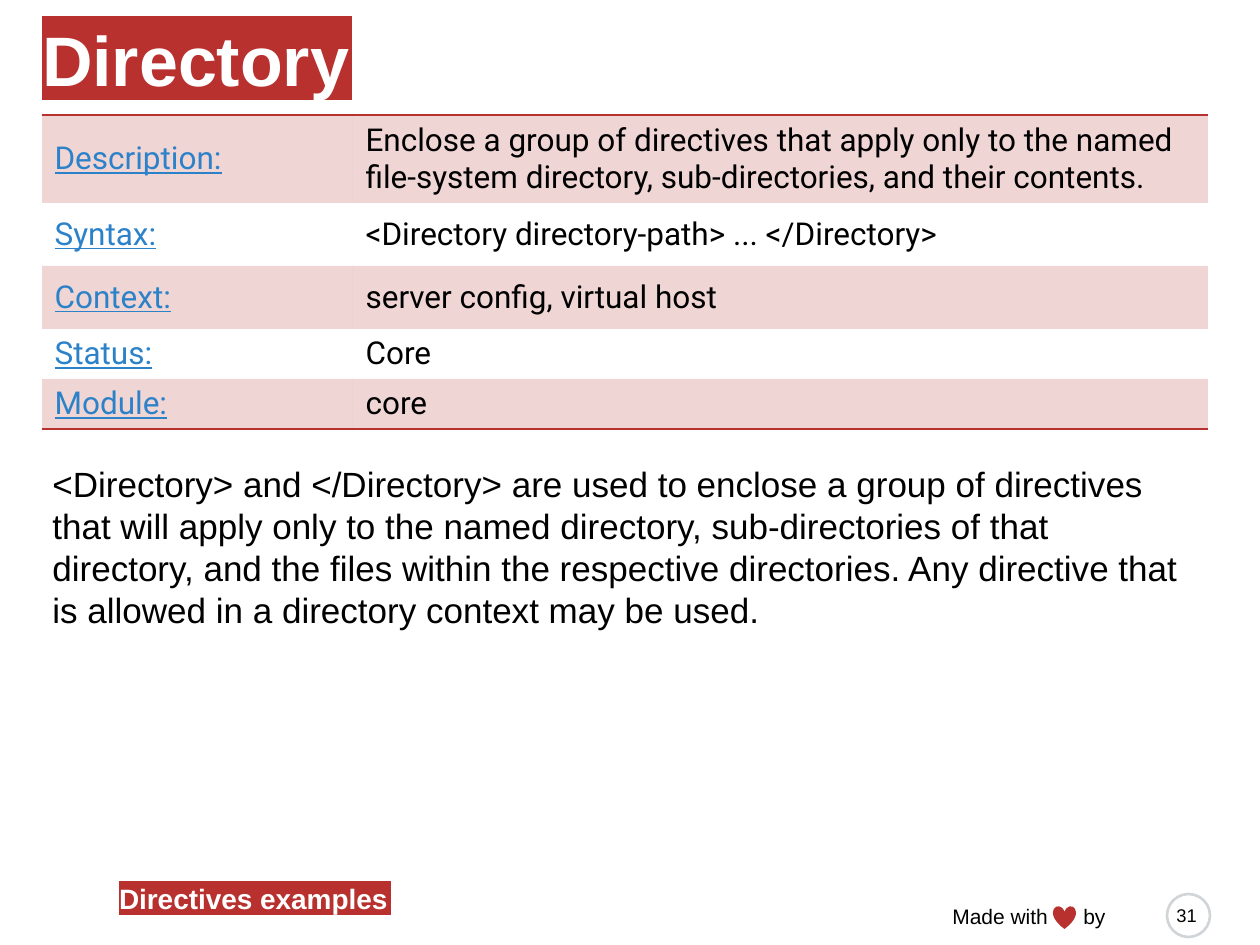
import pptx
import pptx.dml.color
import pptx.enum.shapes
import pptx.enum.text
import pptx.oxml
import pptx.oxml.ns
import pptx.util

SCALE = 914400 / 126
COLORS = {"red": "B8312F", "blue": "2C82C9", "black": "000000", "white": "FFFFFF", "grey": "D1D5D8"}
NO_GRID_STYLE = "{2D5ABB26-0587-4C30-8999-92F81FD0307C}"
SHAPES = pptx.enum.shapes.MSO_SHAPE
ANCHOR = pptx.enum.text.MSO_ANCHOR
AUTO_SIZE = pptx.enum.text.MSO_AUTO_SIZE

DIRECTIVE = [
    ("Description:", "Enclose a group of directives that apply only to the named "
     "file-system directory, sub-directories, and their contents."),
    ("Syntax:", "<Directory directory-path> ... </Directory>"),
    ("Context:", "server config, virtual host"),
    ("Status:", "Core"),
    ("Module:", "core"),
]
ROW_HEIGHTS = [88, 63, 63, 50, 50]
COLUMN_WIDTHS = [311, 855]
EXPLANATION = (
    "<Directory> and </Directory> are used to enclose a group of directives that will apply "
    "only to the named directory, sub-directories of that directory, and the files within the "
    "respective directories. Any directive that is allowed in a directory context may be used."
)


def px(length):
    return pptx.util.Emu(round(length * SCALE))


def rgb(color):
    return pptx.dml.color.RGBColor.from_string(COLORS[color])


def drawing_element(tag, **attributes):
    element = pptx.oxml.parse_xml(f"<a:{tag} {pptx.oxml.ns.nsdecls('a')}/>")
    for key, value in attributes.items():
        element.set(key, str(value))
    return element


def write(frame, text, size=18, font="Arial", color="black", bold=False, underline=False, tab=None):
    paragraph = frame.paragraphs[0]
    paragraph.alignment = pptx.enum.text.PP_ALIGN.LEFT
    if tab:
        tabs = drawing_element("tabLst")
        tabs.append(drawing_element("tab", pos=px(tab), algn="l"))
        paragraph._p.get_or_add_pPr().append(tabs)
    run = paragraph.add_run()
    run.text = text
    run.font.size = pptx.util.Pt(size)
    run.font.name = font
    run.font.bold = bold
    run.font.underline = underline
    run.font.color.rgb = rgb(color)


def add_text(slide, box, text, grow=True, **style):
    frame = slide.shapes.add_textbox(*map(px, box)).text_frame
    frame.word_wrap = True
    frame.auto_size = AUTO_SIZE.SHAPE_TO_FIT_TEXT if grow else AUTO_SIZE.NONE
    write(frame, text, **style)


def add_figure(slide, preset, box, fill, line=None):
    figure = slide.shapes.add_shape(preset, *map(px, box))
    figure.shadow.inherit = False
    figure.fill.solid()
    figure.fill.fore_color.rgb = rgb(fill)
    if line:
        figure.line.color.rgb = rgb(line)
        figure.line.width = pptx.util.Pt(1.5)
    else:
        figure.line.fill.background()
    return figure


def format_label(label, text, size):
    label.fill.solid()
    label.fill.fore_color.rgb = rgb("red")
    frame = label.text_frame
    frame.margin_left = frame.margin_top = frame.margin_right = frame.margin_bottom = 0
    frame.vertical_anchor = ANCHOR.MIDDLE
    frame.word_wrap = False
    frame.auto_size = AUTO_SIZE.NONE
    write(frame, text, size=size, color="white", bold=True)


def add_title(slide, box, text):
    title = slide.shapes.title
    title.left, title.top, title.width, title.height = map(px, box)
    format_label(title, text, 40)


def tint_cell(cell):
    cell.fill.solid()
    cell.fill.fore_color.rgb = rgb("red")
    tint = cell._tc.tcPr.find(".//" + pptx.oxml.ns.qn("a:srgbClr"))
    tint.append(drawing_element("alpha", val=20000))


def add_border(cell, side):
    border = drawing_element(f"ln{side}", w=pptx.util.Pt(1))
    fill = drawing_element("solidFill")
    fill.append(drawing_element("srgbClr", val=COLORS["red"]))
    border.append(fill)
    cell._tc.get_or_add_tcPr().insert(0, border)


def add_directive_table(slide, left, top):
    box = (left, top, sum(COLUMN_WIDTHS), sum(ROW_HEIGHTS))
    table = slide.shapes.add_table(len(DIRECTIVE), 2, *map(px, box)).table
    table.first_row = table.horz_banding = False
    table._tbl.tblPr.find(pptx.oxml.ns.qn("a:tableStyleId")).text = NO_GRID_STYLE
    for column, width in zip(table.columns, COLUMN_WIDTHS):
        column.width = px(width)
    for index, (row, height, entry) in enumerate(zip(table.rows, ROW_HEIGHTS, DIRECTIVE)):
        row.height = px(height)
        for cell, text, color in zip(row.cells, entry, ("blue", "black")):
            cell.vertical_anchor = ANCHOR.MIDDLE
            write(cell.text_frame, text, font="Roboto", color=color, underline=color == "blue")
            if index % 2:
                cell.fill.background()
            else:
                tint_cell(cell)
            if index == 0:
                add_border(cell, "T")
            if index == len(DIRECTIVE) - 1:
                add_border(cell, "B")


def add_footer(slide):
    add_figure(slide, SHAPES.OVAL, (1167, 894, 43, 43), "white", line="grey")
    add_text(slide, (940, 897, 212, 38), "Made with\tby", size=12, tab=131)
    add_figure(slide, SHAPES.HEART, (1053, 906, 23, 23), "red")
    add_text(slide, (1164, 898, 57, 50), "31", grow=False, size=10.5)
    section = add_figure(slide, SHAPES.RECTANGLE, (119, 881, 272, 34), "red")
    format_label(section, "Directives examples", 16)


def main():
    deck = pptx.Presentation()
    deck.slide_width, deck.slide_height = px(1260), px(945)
    slide = deck.slides.add_slide(deck.slide_layouts[5])
    add_title(slide, (42, 16, 310, 84), "Directory")
    add_directive_table(slide, 42, 115)
    add_text(slide, (40, 456, 1152, 183), EXPLANATION, size=20)
    add_footer(slide)
    deck.save("out.pptx")


if __name__ == "__main__":
    main()
